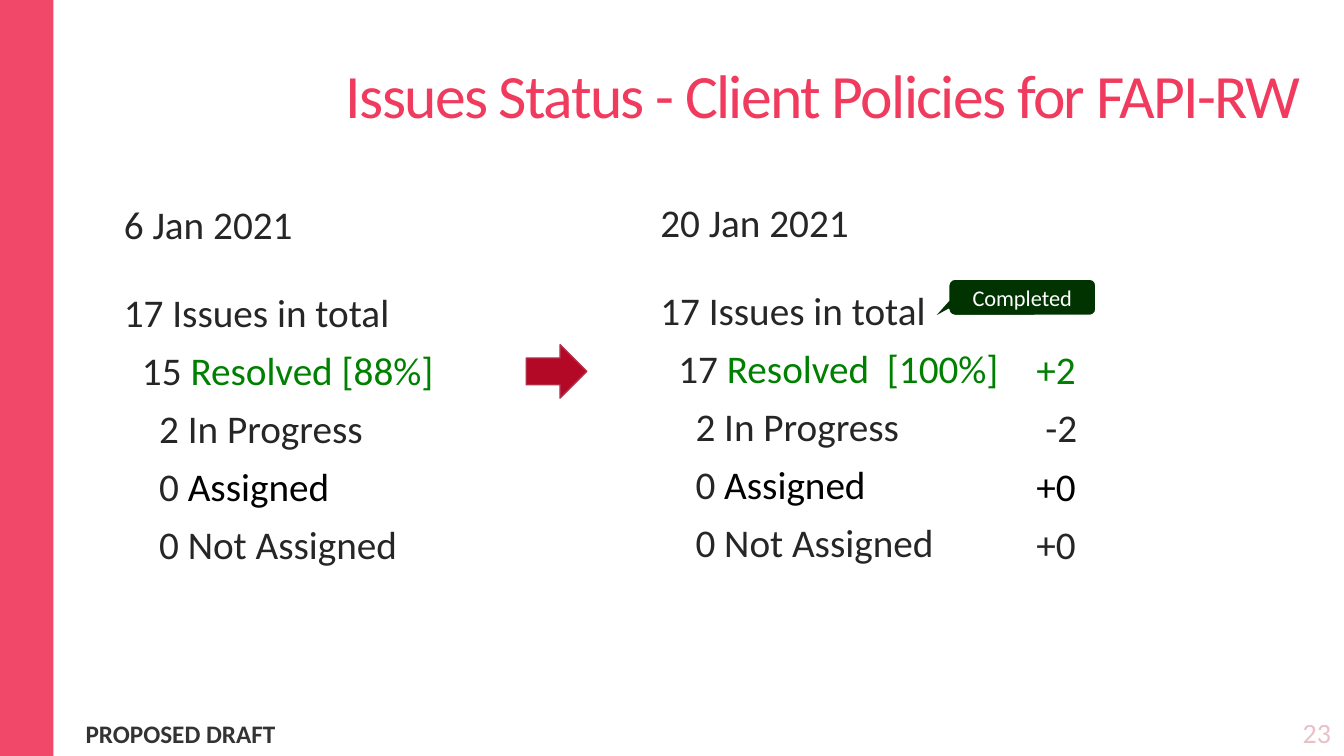
from lxml.etree import SubElement
from pptx import Presentation
from pptx.dml.color import RGBColor
from pptx.enum.shapes import MSO_SHAPE as Preset
from pptx.enum.text import MSO_ANCHOR as Anchor, MSO_AUTO_SIZE as AutoSize, PP_ALIGN as Align
from pptx.oxml.ns import qn
from pptx.util import Inches, Pt

PINK = RGBColor(0xF0, 0x3B, 0x5E)
CRIMSON = RGBColor(0xB4, 0x09, 0x26)
ARROW_EDGE = RGBColor(0xB2, 0x2C, 0x46)
INK = RGBColor(0x26, 0x26, 0x26)
BLACK = RGBColor(0, 0, 0)
GREEN = RGBColor(0, 0x80, 0)
DARK_GREEN = RGBColor(0, 0x33, 0)
WHITE = RGBColor(0xFF, 0xFF, 0xFF)


class StatusSlide:
    font = "Calibri"
    line_spacing = 0.85
    space_before = 13
    section_gap = 34
    list_size = 28

    def __init__(self, deck):
        self.slide = deck.slides.add_slide(deck.slide_layouts[5])

    def place(self, shape, box):
        shape.left, shape.top, shape.width, shape.height = map(Inches, box)

    def fade(self, fill, percent):
        color = fill._xPr.find(qn("a:solidFill"))[0]
        SubElement(color, qn("a:alpha")).set("val", str(percent * 1000))

    def style(self, run, size, color, bold=False, opacity=100):
        font = run.font
        font.name, font.size, font.bold = self.font, Pt(size), bold
        font.color.rgb = color
        if opacity < 100:
            self.fade(font.fill, opacity)

    def set_text(self, shape, text, size, color, align=Align.LEFT, anchor=Anchor.MIDDLE, **look):
        frame = shape.text_frame
        frame.word_wrap, frame.vertical_anchor = True, anchor
        frame.text = text
        line = frame.paragraphs[0]
        line.alignment = align
        self.style(line.runs[0], size, color, **look)
        return line

    def title(self, box, text):
        heading = self.slide.shapes.title
        self.place(heading, box)
        line = self.set_text(heading, text, 44, PINK, Align.RIGHT, Anchor.BOTTOM)
        heading.text_frame.auto_size = AutoSize.NONE
        line.line_spacing = self.line_spacing
        line.runs[0].font._element.set("spc", "-120")

    def label(self, box, text, size, color, **look):
        note = self.slide.shapes.add_textbox(*map(Inches, box))
        self.set_text(note, text, size, color, **look)

    def listing(self, box, lines):
        frame = self.slide.shapes.add_textbox(*map(Inches, box)).text_frame
        frame.word_wrap = True
        for index, (indent, before, parts) in enumerate(lines):
            line = frame.add_paragraph() if index else frame.paragraphs[0]
            line.line_spacing = self.line_spacing
            line.space_before = Pt(before)
            line._p.get_or_add_pPr().set("marL", str(Inches(indent)))
            for text, color in parts:
                run = line.add_run()
                run.text = text
                self.style(run, self.list_size, color)

    def issues(self, box, date, resolved, share):
        gap = self.space_before
        self.listing(box, [
            (0, gap, [(date, INK)]),
            (0, self.section_gap, [("17 Issues in total", INK)]),
            (0.18, gap, [(f"{resolved} ", INK), (share, GREEN)]),
            (0.35, gap, [("2 In Progress", INK)]),
            (0.35, gap, [("0 ", INK), ("Assigned", BLACK)]),
            (0.35, gap, [("0 Not Assigned", INK)]),
        ])

    def shape(self, preset, box, fill, edge=None, opacity=100):
        figure = self.slide.shapes.add_shape(preset, *map(Inches, box))
        figure.shadow.inherit = False
        figure.fill.solid()
        figure.fill.fore_color.rgb = fill
        if opacity < 100:
            self.fade(figure.fill, opacity)
        if edge is None:
            figure.line.fill.background()
        else:
            figure.line.color.rgb, figure.line.width = edge, Pt(1)
        return figure

    def callout(self, box, text, tail):
        bubble = self.shape(Preset.ROUNDED_RECTANGULAR_CALLOUT, box, DARK_GREEN, WHITE)
        for index, value in enumerate(tail):
            bubble.adjustments[index] = value
        self.set_text(bubble, text, 16, WHITE, Align.CENTER)


def main():
    deck = Presentation()
    deck.slide_width, deck.slide_height = Inches(13.33), Inches(7.5)
    status = StatusSlide(deck)
    status.shape(Preset.RECTANGLE, (0, 0, 0.53, 7.5), PINK, opacity=93)
    status.label((12.48, 6.79, 0.82, 0.69), "23", 20, CRIMSON,
                 align=Align.RIGHT, anchor=Anchor.BOTTOM, opacity=25)
    status.label((0.75, 7.15, 5.5, 0.25), "PROPOSED DRAFT", 18, BLACK, bold=True, opacity=80)
    status.title((0.53, 0.22, 12.47, 1.13), "Issues Status - Client Policies for FAPI-RW")
    status.issues((1.13, 2.01, 4.38, 5.21), "6 Jan 2021", 15, "Resolved [88%]")
    status.issues((6.45, 1.99, 3.79, 3.94), "20 Jan 2021", 17, "Resolved  [100%]")
    status.shape(Preset.RIGHT_ARROW, (5.22, 3.42, 0.6, 0.53), CRIMSON, ARROW_EDGE)
    changes = [(0, "+2", GREEN), (0.09, "-2", INK), (0, "+0", BLACK), (0, "+0", INK)]
    status.listing((10.18, 3.45, 0.75, 2.39),
                   [(indent, status.space_before, [(change, color)])
                    for indent, change, color in changes])
    status.callout((9.41, 2.77, 1.46, 0.36), "Completed", (-0.61, 0.58, 0.17))
    deck.save("out.pptx")


if __name__ == "__main__":
    main()
